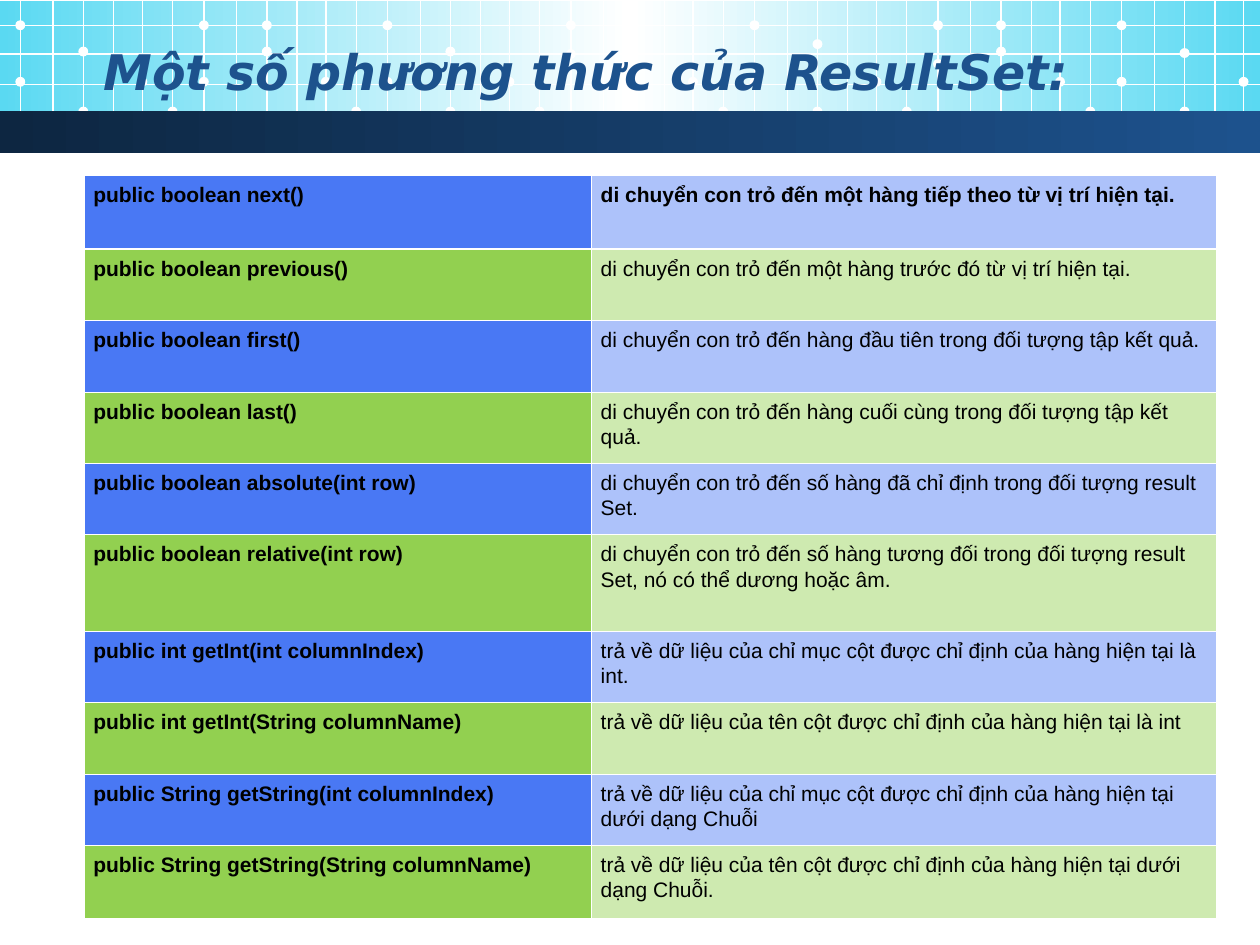
"""Builds a slide listing the methods of ResultSet under a grid header."""
import copy

import pptx
import pptx.dml.color
import pptx.enum.shapes
import pptx.enum.text
import pptx.oxml
import pptx.oxml.ns
import pptx.util
from pptx.util import Cm

COLORS = {
    "white": "FFFFFF", "cyan": "5AD9F2", "navy": "0D2641", "blue": "1D528D",
    "black": "000000", "method_blue": "4978F4", "note_blue": "ADC2FA",
    "method_green": "92D050", "note_green": "CEEAB0",
}
RGB = {name: pptx.dml.color.RGBColor.from_string(value) for name, value in COLORS.items()}
QN = pptx.oxml.ns.qn
NS = pptx.oxml.ns.nsdecls("a")

METHODS = [
    ("public boolean next()", "di chuyển con trỏ đến một hàng tiếp theo từ vị trí hiện tại."),
    ("public boolean previous()", "di chuyển con trỏ đến một hàng trước đó từ vị trí hiện tại."),
    ("public boolean first()", "di chuyển con trỏ đến hàng đầu tiên trong đối tượng tập kết quả."),
    ("public boolean last()", "di chuyển con trỏ đến hàng cuối cùng trong đối tượng tập kết quả."),
    ("public boolean absolute(int row)",
     "di chuyển con trỏ đến số hàng đã chỉ định trong đối tượng result Set."),
    ("public boolean relative(int row)",
     "di chuyển con trỏ đến số hàng tương đối trong đối tượng result Set, "
     "nó có thể dương hoặc âm."),
    ("public int getInt(int columnIndex)",
     "trả về dữ liệu của chỉ mục cột được chỉ định của hàng hiện tại là int."),
    ("public int getInt(String columnName)",
     "trả về dữ liệu của tên cột được chỉ định của hàng hiện tại là int"),
    ("public String getString(int columnIndex)",
     "trả về dữ liệu của chỉ mục cột được chỉ định của hàng hiện tại dưới dạng Chuỗi"),
    ("public String getString(String columnName)",
     "trả về dữ liệu của tên cột được chỉ định của hàng hiện tại dưới dạng Chuỗi."),
]

deck = pptx.Presentation()
deck.slide_width, deck.slide_height = Cm(25.4), Cm(19.05)
slide = deck.slides.add_slide(deck.slide_layouts[5])
shapes = slide.shapes


def add_band(top, height, color_names):
    band = shapes.add_shape(
        pptx.enum.shapes.MSO_SHAPE.RECTANGLE, 0, Cm(top), deck.slide_width, Cm(height))
    band.shadow.inherit = False
    band.line.fill.background()
    band.fill.gradient()
    band.fill.gradient_angle = 0
    stop_list = band._element.spPr.find(".//" + QN("a:gsLst"))
    for _ in color_names[2:]:
        stop_list.insert(1, copy.deepcopy(stop_list[0]))
    for index, (stop, name) in enumerate(zip(band.fill.gradient_stops, color_names)):
        stop.color.rgb = RGB[name]
        stop.position = index / (len(color_names) - 1)


def add_grid_line(x1, y1, x2, y2):
    grid_line = shapes.add_connector(
        pptx.enum.shapes.MSO_CONNECTOR.STRAIGHT, Cm(x1), Cm(y1), Cm(x2), Cm(y2))
    grid_line.line.color.rgb = RGB["white"]
    grid_line.line.width = pptx.util.Pt(0.74)
    grid_line._element.spPr.append(pptx.oxml.parse_xml(f"<a:effectLst {NS}/>"))


add_band(0.03, 2.59, ["cyan", "white", "cyan"])

OFFSETS = [0, 0.66, 1.27, 1.88, 2.46, 3.07]
FIRST_DOT_TOPS = [1.55, 1.55, 1.55, 0.99, 1.57, 1.19, 1.55]
THIRD_DOT_TOPS = [0.94, 0.94, 0.94, 0.97, 0.79, 0.94, 0.97]
for group, (first_top, third_top) in enumerate(zip(FIRST_DOT_TOPS, THIRD_DOT_TOPS)):
    group_left = 0.41 + 3.7 * group
    for offset in OFFSETS:
        if group_left + offset < 25.4:
            add_grid_line(group_left + offset, 0.01, group_left + offset, 2.8)
    fourth_top = 0.41 if group % 2 else 2.15
    dots = [(0, first_top), (0, 0.41), (2, third_top), (2, fourth_top), (4, 1.55), (5, 2.15)]
    for column, dot_top in dots:
        dot_left = group_left + OFFSETS[column] - 0.1
        if dot_left < 25.3:
            dot = shapes.add_shape(
                pptx.enum.shapes.MSO_SHAPE.OVAL, Cm(dot_left), Cm(dot_top), Cm(0.2), Cm(0.2))
            dot.shadow.inherit = False
            dot.fill.solid()
            dot.fill.fore_color.rgb = RGB["white"]
            dot.line.fill.background()

for y in [0.51, 1.09, 1.7, 2.26]:
    add_grid_line(0, y, 25.4, y)

add_band(2.24, 0.84, ["navy", "blue"])

title = shapes.title
shapes._spTree.append(title._element)
title.left, title.top, title.width, title.height = Cm(1.27), Cm(0.64), Cm(20.52), Cm(1.57)
title.text_frame.auto_size = pptx.enum.text.MSO_AUTO_SIZE.NONE
title.text_frame.vertical_anchor = pptx.enum.text.MSO_ANCHOR.MIDDLE
heading = title.text_frame.paragraphs[0]
heading.alignment = pptx.enum.text.PP_ALIGN.RIGHT
heading_run = heading.add_run()
heading_run.text = "Một số phương thức của ResultSet:"
heading_run.font.name = "DejaVu Sans"
heading_run.font.size = pptx.util.Pt(28)
heading_run.font.bold = heading_run.font.italic = True
heading_run.font.color.rgb = RGB["blue"]

ROW_HEIGHTS = [1.49] + [1.44] * 4 + [1.94] + [1.44] * 3 + [1.48]
methods = shapes.add_table(
    len(METHODS), 2, Cm(1.7), Cm(3.53), Cm(22.81), Cm(sum(ROW_HEIGHTS))).table
methods.first_row = methods.horz_banding = False
for column, width in zip(methods.columns, [10.23, 12.58]):
    column.width = Cm(width)

for row_index, (texts, height) in enumerate(zip(METHODS, ROW_HEIGHTS)):
    methods.rows[row_index].height = Cm(height)
    shade = "green" if row_index % 2 else "blue"
    for column_index, (text, part) in enumerate(zip(texts, ["method", "note"])):
        cell = methods.cell(row_index, column_index)
        cell.margin_left = cell.margin_right = Cm(0.18)
        cell.margin_top = cell.margin_bottom = Cm(0.13)
        for side in "LRTB":
            thick = (row_index, side) in [(0, "B"), (1, "T")]
            border_width = pptx.util.Pt(1.47 if thick else 0.45)
            cell._tc.get_or_add_tcPr().append(pptx.oxml.parse_xml(
                f'<a:ln{side} {NS} w="{border_width}"><a:solidFill>'
                f'<a:srgbClr val="{COLORS["white"]}"/></a:solidFill></a:ln{side}>'))
        cell.fill.solid()
        cell.fill.fore_color.rgb = RGB[f"{part}_{shade}"]
        paragraph = cell.text_frame.paragraphs[0]
        paragraph.line_spacing = 1.07
        paragraph.space_after = pptx.util.Pt(6)
        run = paragraph.add_run()
        run.text = text
        run.font.name = "Arial"
        run.font.size = pptx.util.Pt(12)
        run.font.bold = part == "method" or row_index == 0
        run.font.color.rgb = RGB["black"]

deck.save("out.pptx")
